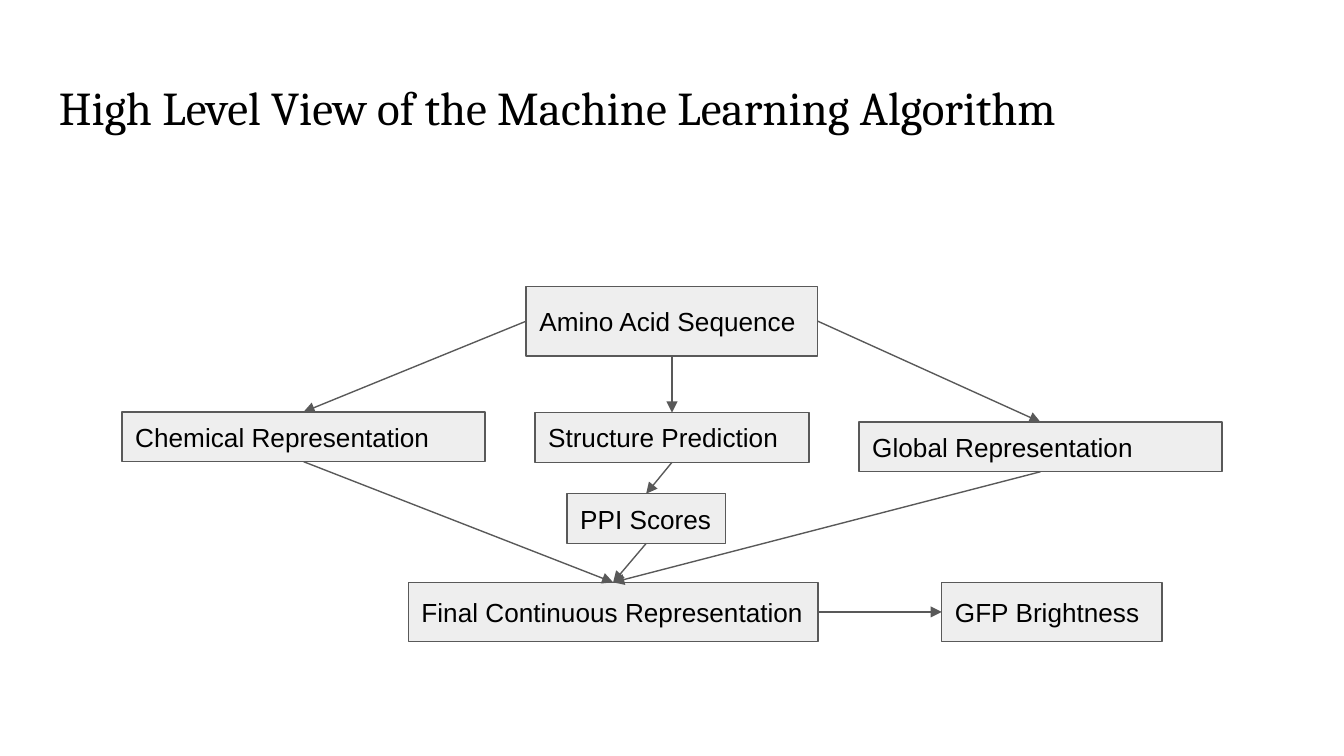
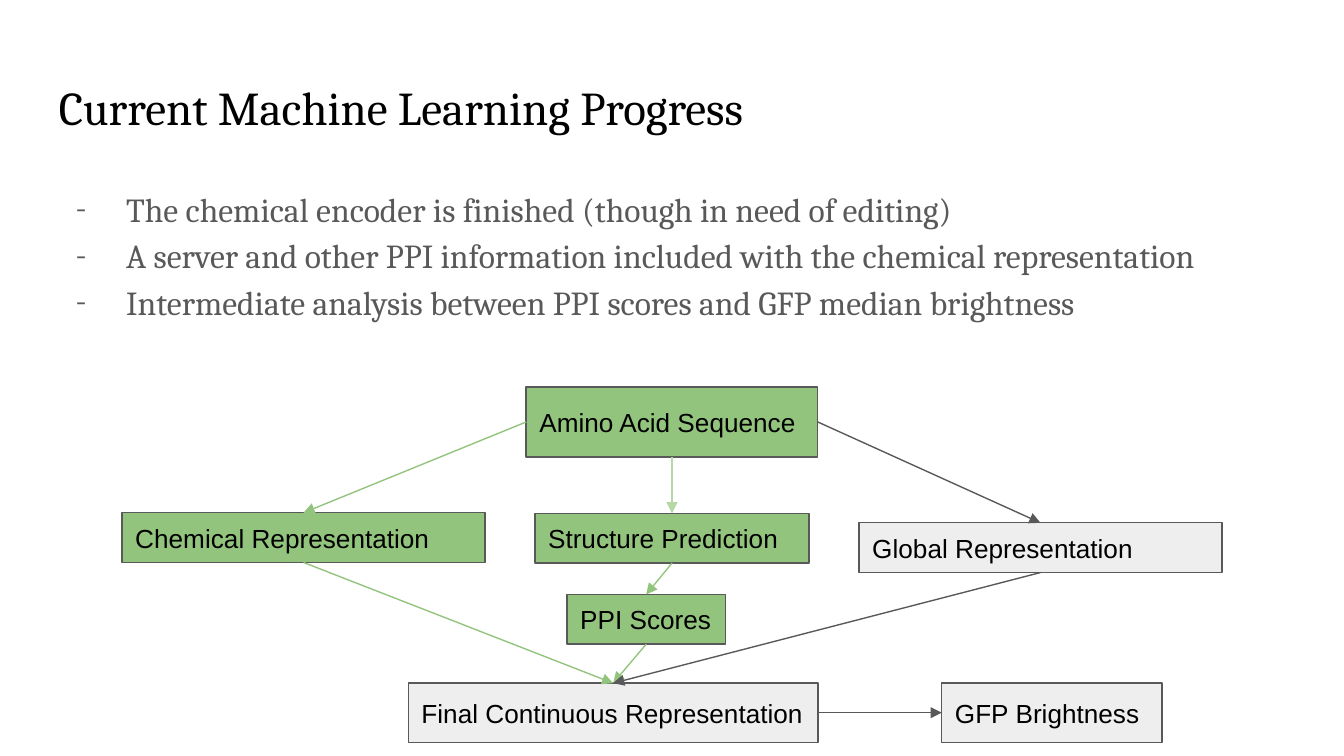
"""Builds two slides on a machine learning pipeline and its progress."""
from lxml import etree
from pptx import Presentation
from pptx.dml.color import RGBColor
from pptx.enum import shapes, text
from pptx.oxml import ns
from pptx.util import Pt

BLACK, GREY, PALE = "000000", "595959", "EEEEEE"
GREEN, MINT = "93C47D", "B6D7A8"
TOP, LEFT, BOTTOM, RIGHT = range(4)
TITLE = (24.48, 35.1, 671.04, 45.36)
BODY = (24.48, 90.72, 671.04, 269.28)

BOXES = {
    "Amino Acid Sequence": (281.88, 153.36, 156.24, 37.44),
    "Chemical Representation": (65.4, 220.7, 194.4, 26.64),
    "Structure Prediction": (286.56, 221.04, 146.88, 26.64),
    "PPI Scores": (303.7, 264.5, 84.96, 26.64),
    "Final Continuous Representation": (218.7, 312, 219.6, 31.68),
    "GFP Brightness": (504.5, 312, 118.08, 31.68),
    "Global Representation": (460.2, 226.1, 194.4, 26.64),
}
AMINO, CHEM, FOLD, PPI, FINAL, GFP, GLOBAL = BOXES

ARROWS = [
    (AMINO, BOTTOM, FOLD, TOP),
    (AMINO, LEFT, CHEM, TOP),
    (FOLD, BOTTOM, PPI, TOP),
    (CHEM, BOTTOM, FINAL, TOP),
    (PPI, BOTTOM, FINAL, TOP),
    (FINAL, RIGHT, GFP, LEFT),
    (AMINO, RIGHT, GLOBAL, TOP),
    (GLOBAL, BOTTOM, FINAL, TOP),
]

SLIDES = [
    {"title": "High Level View of the Machine Learning Algorithm",
     "points": [], "drop": 0, "done": []},
    {"title": "Current Machine Learning Progress",
     "points": [
         "The chemical encoder is finished (though in need of editing)",
         "A server and other PPI information included with the chemical representation",
         "Intermediate analysis between PPI scores and GFP median brightness"],
     "drop": 54, "done": [AMINO, CHEM, FOLD, PPI]},
]


def paint(color, code):
    color.rgb = RGBColor.from_string(code)


def add(parent, tag, **attrs):
    return etree.SubElement(parent, ns.qn(tag), **attrs)


def write(shape, lines, size, face, code, anchor, dash=False):
    frame = shape.text_frame
    frame.word_wrap = True
    frame.vertical_anchor = anchor
    frame.margin_left = frame.margin_right = Pt(7.2)
    frame.margin_top = frame.margin_bottom = Pt(7.2)
    for i, line in enumerate(lines):
        para = frame.paragraphs[0] if i == 0 else frame.add_paragraph()
        para.text = line
        para.alignment = text.PP_ALIGN.LEFT
        if dash:
            props = para._p.get_or_add_pPr()
            props.set("marL", str(Pt(36)))
            props.set("indent", str(Pt(-27)))
            add(add(props, "a:buClr"), "a:srgbClr", val=code)
            add(props, "a:buFont", typeface=face)
            add(props, "a:buChar", char="-")
            para.line_spacing = 1.15
        para.font.size = Pt(size)
        para.font.name = face
        paint(para.font.color, code)


def label(slide, place, lines, size, code, dash=False):
    box = slide.shapes.add_textbox(*map(Pt, place))
    write(box, lines, size, "Cambria", code, text.MSO_ANCHOR.TOP, dash)


def node(slide, name, drop, code):
    x, y, w, h = BOXES[name]
    box = slide.shapes.add_shape(
        shapes.MSO_SHAPE.RECTANGLE, Pt(x), Pt(y + drop), Pt(w), Pt(h))
    box.shadow.inherit = False
    box.fill.solid()
    paint(box.fill.fore_color, code)
    paint(box.line.color, GREY)
    box.line.width = Pt(0.75)
    write(box, [name], 14, "Arial", BLACK, text.MSO_ANCHOR.MIDDLE)
    return box


def arrow(slide, start, out, end, into, code):
    link = slide.shapes.add_connector(shapes.MSO_CONNECTOR.STRAIGHT, 0, 0, 0, 0)
    link.begin_connect(start, out)
    link.end_connect(end, into)
    paint(link.line.color, code)
    link.line.width = Pt(0.75)
    add(link.line._get_or_add_ln(), "a:tailEnd", type="triangle")
    add(link._element.spPr, "a:effectLst")


def shade(start, end, done):
    if start not in done or end == GLOBAL:
        return GREY
    return MINT if (start, end) == (AMINO, FOLD) else GREEN


deck = Presentation()
deck.slide_width, deck.slide_height = Pt(720), Pt(405)
for page in SLIDES:
    slide = deck.slides.add_slide(deck.slide_layouts[6])
    label(slide, TITLE, [page["title"]], 25.2, BLACK)
    if page["points"]:
        label(slide, BODY, page["points"], 18, GREY, dash=True)
    done = page["done"]
    nodes = {name: node(slide, name, page["drop"], GREEN if name in done else PALE)
             for name in BOXES}
    for start, out, end, into in ARROWS:
        arrow(slide, nodes[start], out, nodes[end], into, shade(start, end, done))
deck.save("out.pptx")
